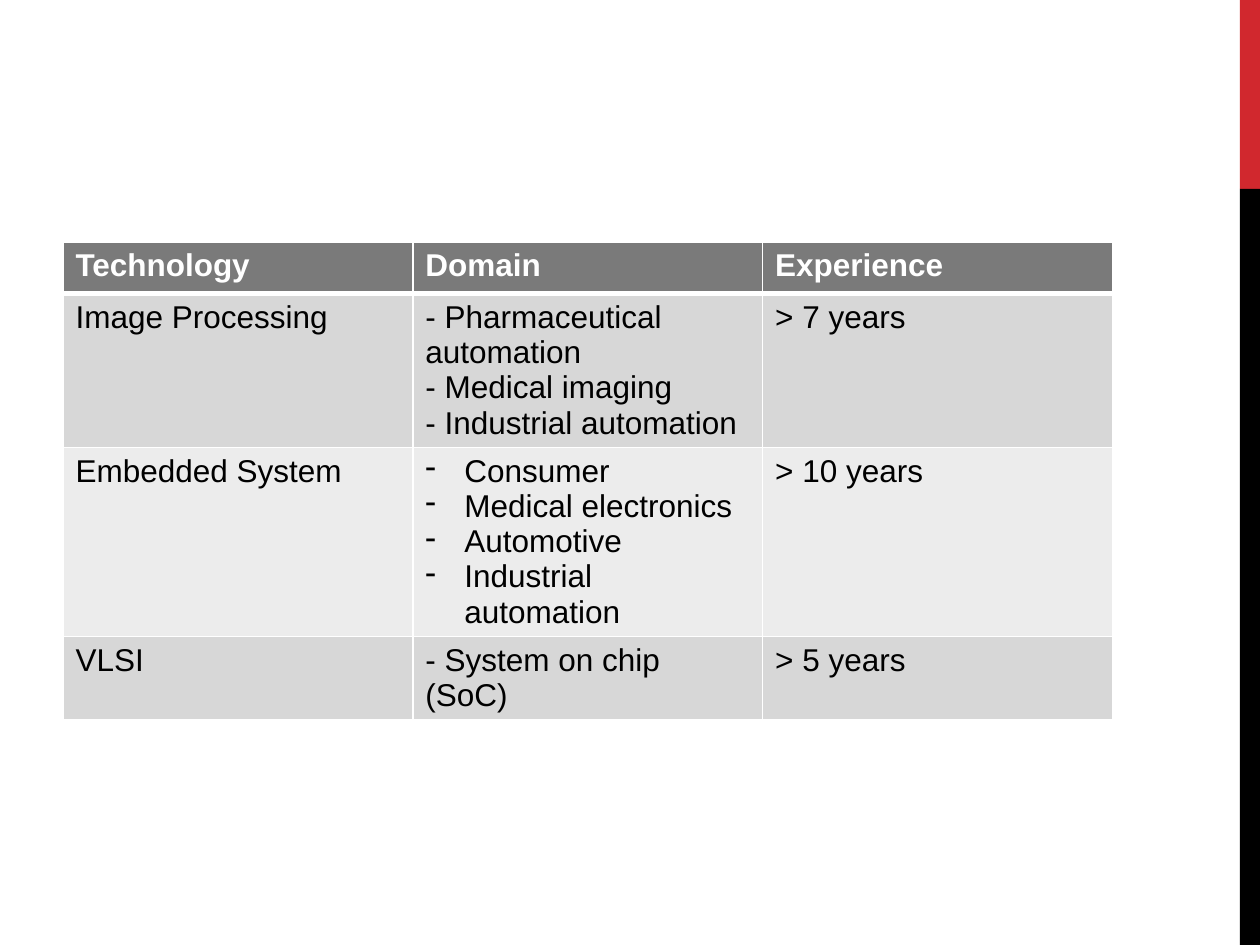
import pptx
import pptx.util
import pptx.dml.color
import pptx.enum.shapes
import pptx.oxml
import pptx.oxml.ns

HUES = {"red": "D1282E", "black": "000000", "white": "FFFFFF",
        "head": "7A7A7A", "odd": "D7D7D7", "even": "ECECEC"}
WIDE, HIGH = pptx.util.Inches(10), pptx.util.Inches(7.5)
ROW = 0.41 / 7.5
HEAD = {"size": pptx.util.Pt(18), "name": "Arial", "bold": True}
BODY = {**HEAD, "bold": False}
DASH = "- "
ROWS = [
    (["Technology"], ["Domain"], ["Experience"]),
    (["Image Processing"],
     ["- Pharmaceutical automation", "- Medical imaging", "- Industrial automation"],
     ["> 7 years"]),
    (["Embedded System"],
     ["Consumer", "Medical electronics", "Automotive", "Industrial automation"],
     ["> 10 years"]),
    (["VLSI"], ["- System on chip (SoC)"], ["> 5 years"]),
]


def paint(fill, hue):
    """Give a fill one solid colour."""
    fill.solid()
    fill.fore_color.rgb = pptx.dml.color.RGBColor.from_string(HUES[hue])


def scale(box):
    """Turn shares of the slide into lengths."""
    return [round(part * side) for part, side in zip(box, (WIDE, HIGH) * 2)]


def add_node(host, tag, **attrs):
    """Append a drawing element with its attributes."""
    node = pptx.oxml.parse_xml(f"<a:{tag} {pptx.oxml.ns.nsdecls('a')}/>")
    for key, value in attrs.items():
        node.set(key, str(value))
    host.append(node)
    return node


def edge(cell, low):
    """Draw the white borders of a cell, the lower one at its own weight."""
    for side, weight in {"L": 1, "R": 1, "T": 1, "B": low}.items():
        line = add_node(cell._tc.get_or_add_tcPr(), "ln" + side,
                        w=pptx.util.Pt(weight))
        add_node(add_node(line, "solidFill"), "srgbClr", val=HUES["white"])


def write(cell, lines, style, hue):
    """Write paragraphs in a cell, with dash bullets on plain lists."""
    cell.text = "\n".join(lines)
    listed = len(lines) > 1 and not lines[0].startswith(DASH)
    for para in cell.text_frame.paragraphs:
        font = para.runs[0].font
        for key, value in style.items():
            setattr(font, key, value)
        font.color.rgb = pptx.dml.color.RGBColor.from_string(HUES[hue])
        if listed:
            props = para._p.get_or_add_pPr()
            dent = pptx.util.Inches(0.31)
            props.set("marL", str(dent))
            props.set("indent", str(-dent))
            add_node(props, "buFontTx")
            add_node(props, "buChar", char="-")


def draw_band(slide, box):
    """Stack the red and black bars inside the box."""
    left, top, width, height = box
    cut = height * 0.2
    for hue, start, size in (("red", top, cut), ("black", top + cut, height - cut)):
        bar = slide.shapes.add_shape(pptx.enum.shapes.MSO_SHAPE.RECTANGLE,
                                     *scale((left, start, width, size)))
        bar.shadow.inherit = False
        paint(bar.fill, hue)
        bar.line.fill.background()


def draw_table(slide, box):
    """Fill the box with the table of technologies."""
    place = scale(box)
    frame = slide.shapes.add_table(len(ROWS), len(ROWS[0]), *place)
    table = frame.table
    for row, texts in enumerate(ROWS):
        table.rows[row].height = round(ROW * HIGH)
        top = row == 0
        style, ink = (HEAD, "white") if top else (BODY, "black")
        back = "head" if top else "odd" if row % 2 else "even"
        for col, lines in enumerate(texts):
            cell = table.cell(row, col)
            edge(cell, 3 if top else 1)
            paint(cell.fill, back)
            write(cell, lines, style, ink)
    frame.height = place[3]


def main():
    """Build and save the slide."""
    deck = pptx.Presentation()
    deck.slide_width, deck.slide_height = WIDE, HIGH
    slide = deck.slides.add_slide(deck.slide_layouts[6])
    paint(slide.background.fill, "white")
    draw_band(slide, (0.984, 0, 0.016, 1))
    draw_table(slide, (0.05, 1.92 / 7.5, 0.833, 4.01 / 7.5))
    deck.save("out.pptx")


if __name__ == "__main__":
    main()
